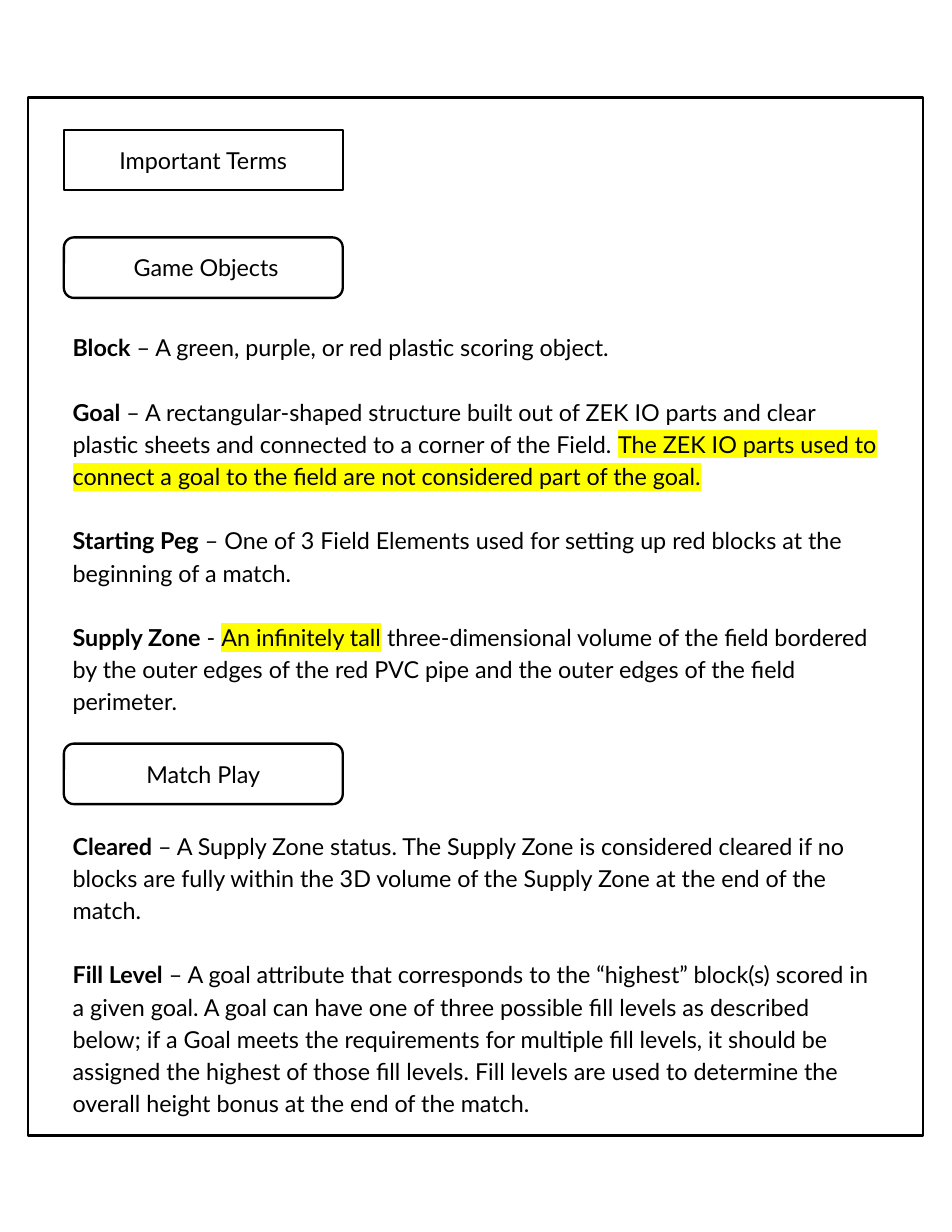
from lxml.etree import SubElement
from pptx import Presentation
from pptx.dml.color import RGBColor
from pptx.enum.shapes import MSO_SHAPE as Shape
from pptx.enum.text import MSO_ANCHOR as Anchor, PP_ALIGN as Align
from pptx.oxml.ns import qn
from pptx.util import Inches, Pt

FONT = "Lato"
TEXT_SIZE = 15
BLACK = "000000"
YELLOW = "FFFF00"
LINE_SPACING = 1.15
TERM_GAP = 20.7

GAME_OBJECTS = [
    ("Block", [(" – A green, purple, or red plastic scoring object.", False)]),
    ("Goal", [
        (" – A rectangular-shaped structure built out of ZEK IO parts and clear "
         "plastic sheets and connected to a corner of the Field. ", False),
        ("The ZEK IO parts used to connect a goal to the field are not "
         "considered part of the goal.", True),
    ]),
    ("Starting Peg", [
        (" – One of 3 Field Elements used for setting up red blocks at the "
         "beginning of a match.", False),
    ]),
    ("Supply Zone", [
        (" - ", False),
        ("An infinitely tall", True),
        (" three-dimensional volume of the field bordered by the outer edges of "
         "the red PVC pipe and the outer edges of the field perimeter.", False),
    ]),
]

MATCH_PLAY = [
    ("Cleared", [
        (" – A Supply Zone status. The Supply Zone is considered cleared if no "
         "blocks are fully within the 3D volume of the Supply Zone at the end "
         "of the match.", False),
    ]),
    ("Fill Level", [
        (" – A goal attribute that corresponds to the “highest” block(s) scored "
         "in a given goal. A goal can have one of three possible fill levels as "
         "described below; if a Goal meets the requirements for multiple fill "
         "levels, it should be assigned the highest of those fill levels. Fill "
         "levels are used to determine the overall height bonus at the end of "
         "the match.", False),
    ]),
]


def color(value):
    return RGBColor.from_string(value)


def style_span(span, bold=False):
    span.font.name = FONT
    span.font.size = Pt(TEXT_SIZE)
    span.font.bold = bold
    span.font.color.rgb = color(BLACK)


def highlight(span):
    properties = span.font._element
    mark = SubElement(properties, qn("a:highlight"))
    SubElement(mark, qn("a:srgbClr"), val=YELLOW)
    properties.find(qn("a:solidFill")).addnext(mark)


def set_margins(frame):
    frame.margin_left = frame.margin_right = Inches(0.1)
    frame.margin_top = frame.margin_bottom = Inches(0.1)
    frame.word_wrap = True


def add_outline(page, kind, left, top, width, height):
    box = page.shapes.add_shape(
        kind, Inches(left), Inches(top), Inches(width), Inches(height))
    box.shadow.inherit = False
    box.fill.background()
    box.line.color.rgb = color(BLACK)
    box.line.width = Pt(1.5)
    return box


def add_heading(page, kind, top, text, indent=0.1):
    box = add_outline(page, kind, 0.57, top, 2.49, 0.54)
    frame = box.text_frame
    set_margins(frame)
    frame.margin_left = Inches(indent)
    frame.vertical_anchor = Anchor.MIDDLE
    frame.text = text
    para = frame.paragraphs[0]
    para.alignment = Align.CENTER
    style_span(para.runs[0])


def add_definitions(page, top, height, terms):
    box = page.shapes.add_textbox(
        Inches(0.55), Inches(top), Inches(7.39), Inches(height))
    frame = box.text_frame
    set_margins(frame)
    for index, (term, parts) in enumerate(terms):
        para = frame.add_paragraph() if index else frame.paragraphs[0]
        para.line_spacing = LINE_SPACING
        if index:
            para.space_before = Pt(TERM_GAP)
        para.text = term
        style_span(para.runs[0], bold=True)
        for text, marked in parts:
            span = para.add_run()
            span.text = text
            style_span(span)
            if marked:
                highlight(span)


def main():
    deck = Presentation()
    deck.slide_width = Inches(8.5)
    deck.slide_height = Inches(11)
    page = deck.slides.add_slide(deck.slide_layouts[6])
    add_outline(page, Shape.RECTANGLE, 0.25, 0.87, 7.99, 9.27)
    add_heading(page, Shape.RECTANGLE, 1.16, "Important Terms")
    add_heading(page, Shape.ROUNDED_RECTANGLE, 2.12, "Game Objects", indent=0.15)
    add_heading(page, Shape.ROUNDED_RECTANGLE, 6.64, "Match Play")
    add_definitions(page, 7.29, 2.94, MATCH_PLAY)
    add_definitions(page, 2.84, 3.61, GAME_OBJECTS)
    deck.save("out.pptx")


if __name__ == "__main__":
    main()
